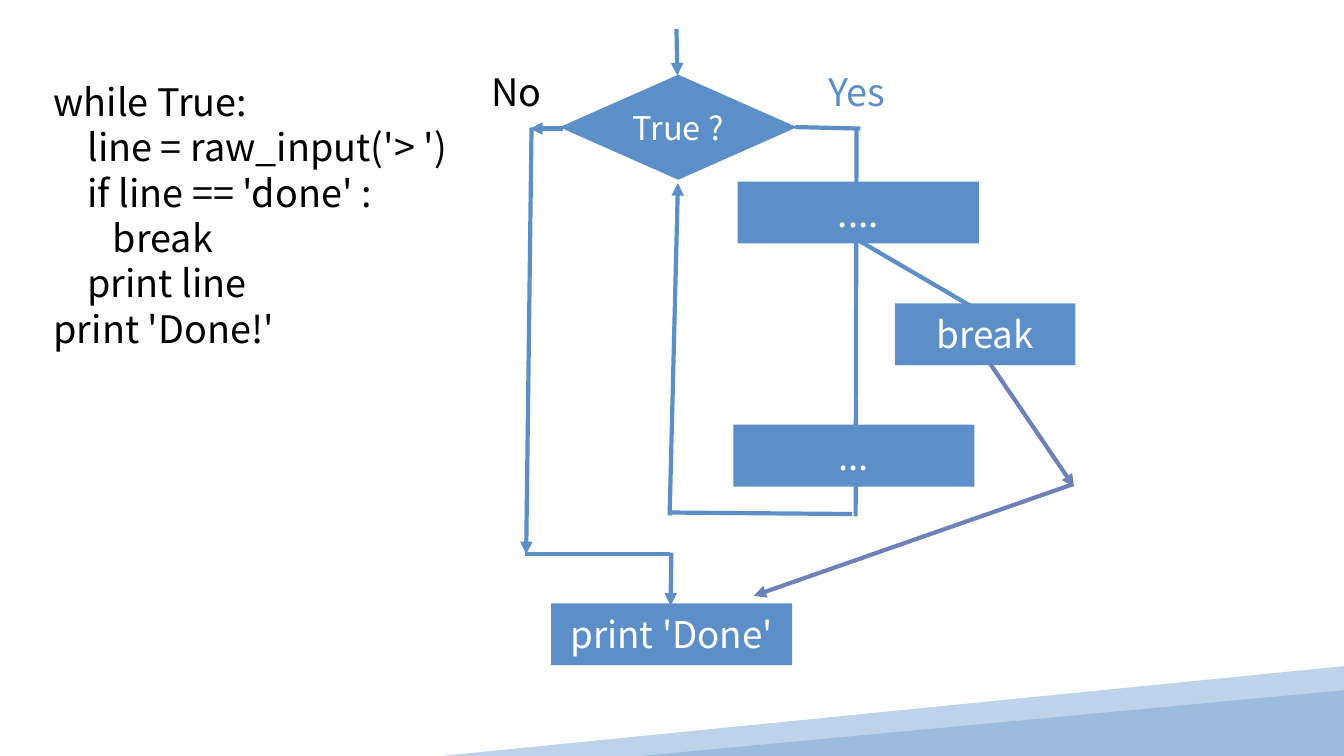
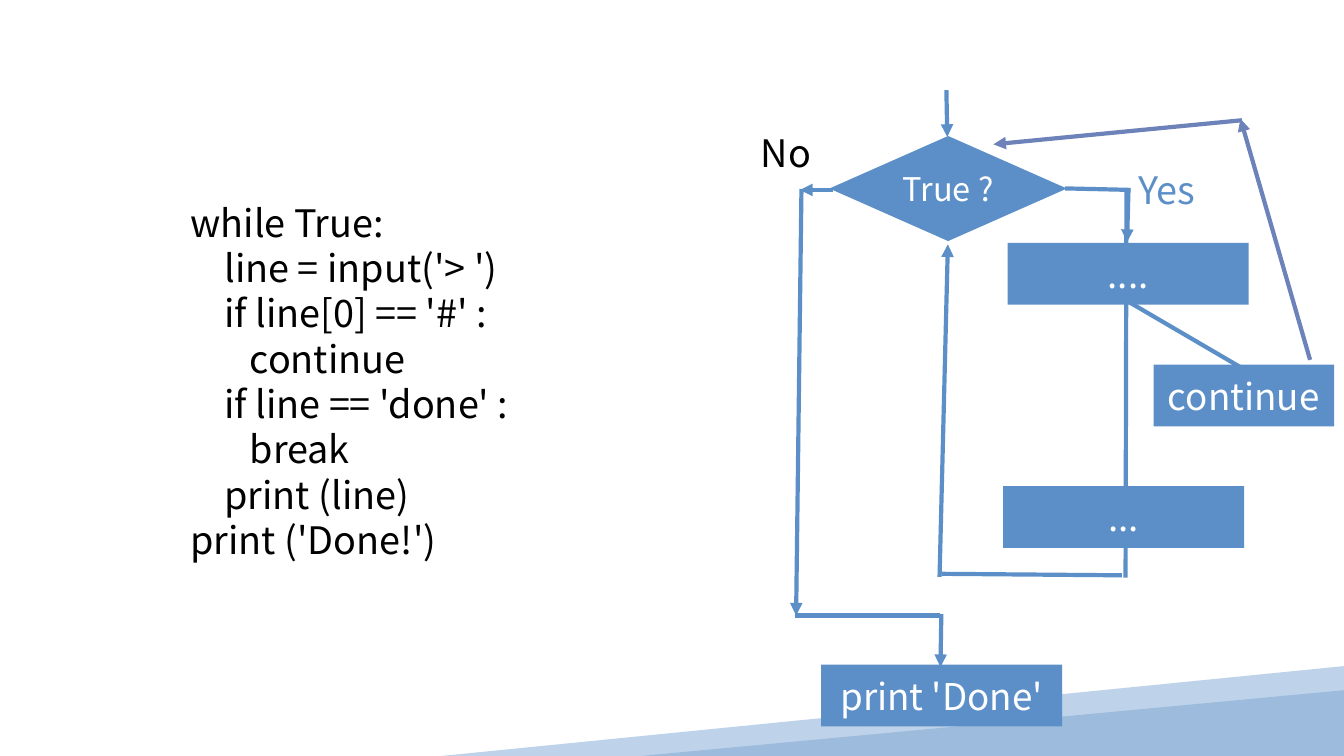
"""Build two flowchart slides on leaving and restarting a while loop."""
from dataclasses import dataclass

from lxml import etree
from pptx import Presentation
from pptx import util as u
from pptx.dml.color import RGBColor
from pptx.enum import shapes, text
from pptx.oxml.ns import qn


@dataclass(frozen=True)
class Theme:
    font: str = "Noto Sans CJK SC"
    flow: str = "5C8FC7"
    jump: str = "6E82BA"
    band_light: str = "BED2E9"
    band_dark: str = "9DBCDD"
    black: str = "000000"
    white: str = "FFFFFF"
    code_size: float = 36
    code_pitch: float = 43.2
    box_size: float = 35
    test_size: float = 31
    line_width: float = 4


T = Theme()
SLIDE_W, SLIDE_H = 45.16, 25.4
BOX_W, JUMP_W, BOX_H = 8.1, 6.07, 2.08
JUMP_Y = 10.19
LABEL_H = 1.52

BAND = [(45.16, 22.38), (45.16, 25.2), (30.38, 25.4), (14.83, 25.4)]
BAND_CORNER = (21.54, 23.19, 23.62, 2.21)

TEST = ("True ?", 18.8, 2.51, 7.98, 3.53)
STEPS = [("print 'Done'", 18.52, 20.27), ("....", 24.79, 6.1), ("...", 24.64, 14.27)]
NO_LABEL = ("No", 16.48, 2.31, 1.73)

FLOW_LINES = [
    ((26.72, 4.27), (28.91, 4.32)),
    ((28.78, 4.27), (28.75, 17.35)),
    ((22.56, 17.22), (28.63, 17.27)),
    ((17.65, 18.62), (22.5, 18.62)),
    ((28.8, 8.05), (32.72, 10.34)),
]
FLOW_ARROWS = [
    ((22.73, 0.97), (22.76, 2.54)),
    ((22.5, 17.32), (22.78, 6.15)),
    ((18.92, 4.32), (17.81, 4.32)),
    ((17.86, 4.29), (17.68, 18.62)),
    ((22.56, 18.57), (22.53, 20.35)),
]

SLIDES = [
    dict(
        offset=(0, 0),
        code=["while True:", "    line = raw_input('> ')", "    if line == 'done' :",
              "       break", "    print line", "print 'Done!'"],
        code_at=(1.8, 2.64, 13.84),
        yes=("Yes", 27.76, 2.31, 2.06),
        jump=("break", 30.07),
        jump_arrows=[((33.27, 12.22), (36.09, 16.36)), ((36.02, 16.28), (25.32, 20.02))],
        extra_arrows=[],
    ),
    dict(
        offset=(9.07, 2.06),
        code=["while True:", "    line = input('> ')", "    if line[0] == '#' :",
              "       continue", "    if line == 'done' :", "       break",
              "    print (line)", "print ('Done!')"],
        code_at=(6.4, 6.7, 11.63),
        yes=("Yes", 29.11, 3.55, 2.06),
        jump=("continue", 29.69),
        jump_arrows=[((34.95, 10.03), (32.61, 1.93)), ((32.66, 1.98), (24.31, 2.79))],
        extra_arrows=[((28.85, 4.26), (28.8, 6.07))],
    ),
]


def rgb(color):
    return RGBColor.from_string(color)


def paint(sp, color):
    sp.shadow.inherit = False
    sp.fill.solid()
    sp.fill.fore_color.rgb = rgb(color)
    sp.line.fill.background()


def write(sp, lines, size, color, align=text.PP_ALIGN.CENTER, wrap=True, pitch=None):
    tf = sp.text_frame
    tf.word_wrap = wrap
    tf.vertical_anchor = text.MSO_ANCHOR.MIDDLE
    tf.margin_left = tf.margin_right = tf.margin_top = tf.margin_bottom = 0
    for i, line in enumerate(lines):
        p = tf.add_paragraph() if i else tf.paragraphs[0]
        p.alignment = align
        if pitch:
            p.line_spacing = u.Pt(pitch)
        r = p.add_run()
        r.text = line
        r.font.name, r.font.size = T.font, u.Pt(size)
        r.font.color.rgb = rgb(color)


def add_band(s):
    g = s.shapes.add_group_shape()
    points = [(u.Cm(x), u.Cm(y)) for x, y in BAND]
    builder = g.shapes.build_freeform(*points[0])
    builder.add_line_segments(points[1:], close=True)
    paint(builder.convert_to_shape(), T.band_light)
    corner = g.shapes.add_shape(shapes.MSO_SHAPE.ISOSCELES_TRIANGLE,
                                *map(u.Cm, BAND_CORNER))
    corner.adjustments[0] = 1
    paint(corner, T.band_dark)


class Flow:
    """Draw flowchart parts on a slide, shifted by one offset."""

    def __init__(self, s, offset):
        self.s = s
        self.dx, self.dy = offset

    def at(self, x, y):
        return u.Cm(x + self.dx), u.Cm(y + self.dy)

    def box(self, label, x, y, w, h=BOX_H, kind=shapes.MSO_SHAPE.RECTANGLE, size=T.box_size):
        sp = self.s.shapes.add_shape(kind, *self.at(x, y), u.Cm(w), u.Cm(h))
        paint(sp, T.flow)
        write(sp, [label], size, T.white)

    def label(self, label, x, y, w, color):
        sp = self.s.shapes.add_textbox(*self.at(x, y), u.Cm(w), u.Cm(LABEL_H))
        write(sp, [label], T.code_size, color, wrap=False)

    def lines(self, ends, color=T.flow, arrow=False):
        for start, end in ends:
            c = self.s.shapes.add_connector(shapes.MSO_CONNECTOR.STRAIGHT,
                                            *self.at(*start), *self.at(*end))
            c.line.color.rgb = rgb(color)
            c.line.width = u.Pt(T.line_width)
            if arrow:
                etree.SubElement(c.line._get_or_add_ln(), qn("a:tailEnd"), type="triangle")
            etree.SubElement(c._element.spPr, qn("a:effectLst"))


def add_code(s, code, x, y, w):
    sp = s.shapes.add_textbox(u.Cm(x), u.Cm(y), u.Cm(w), u.Pt(T.code_pitch * len(code)))
    write(sp, code, T.code_size, T.black, text.PP_ALIGN.LEFT, pitch=T.code_pitch)


def add_slide(prs, content):
    s = prs.slides.add_slide(prs.slide_layouts[6])
    add_band(s)
    flow = Flow(s, content["offset"])
    flow.lines(FLOW_LINES)
    flow.lines(FLOW_ARROWS + content["extra_arrows"], arrow=True)
    flow.box(*TEST, kind=shapes.MSO_SHAPE.DIAMOND, size=T.test_size)
    for step in STEPS:
        flow.box(*step, BOX_W)
    label, x = content["jump"]
    flow.box(label, x, JUMP_Y, JUMP_W)
    flow.lines(content["jump_arrows"], T.jump, arrow=True)
    flow.label(*NO_LABEL, T.black)
    flow.label(*content["yes"], T.flow)
    add_code(s, content["code"], *content["code_at"])


def main():
    prs = Presentation()
    prs.slide_width, prs.slide_height = u.Cm(SLIDE_W), u.Cm(SLIDE_H)
    for content in SLIDES:
        add_slide(prs, content)
    prs.save("out.pptx")


if __name__ == "__main__":
    main()
